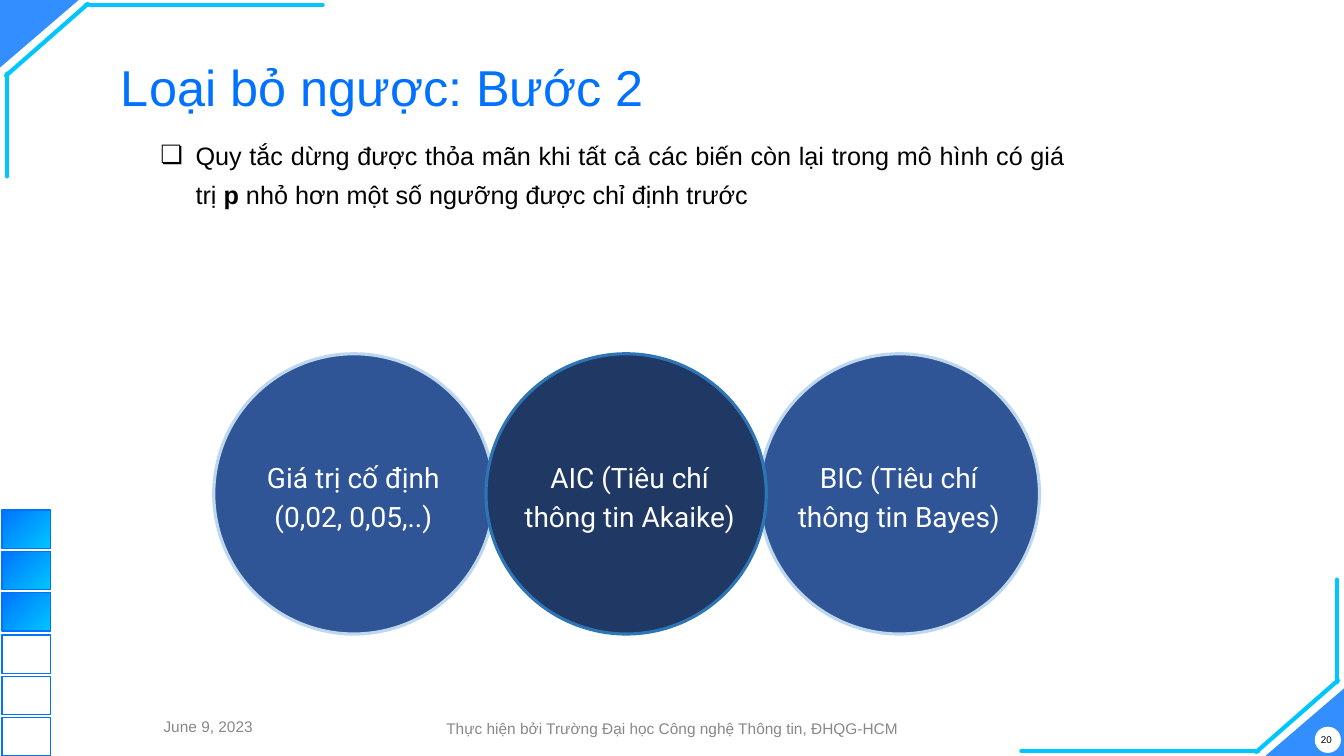
from dataclasses import dataclass
from typing import Any

from lxml.etree import SubElement
from pptx import Presentation
from pptx.dml.color import RGBColor
from pptx.enum.shapes import MSO_CONNECTOR, MSO_SHAPE
from pptx.enum.text import MSO_ANCHOR, MSO_AUTO_SIZE, PP_ALIGN
from pptx.oxml.ns import qn
from pptx.util import Emu, Pt

BLUE = RGBColor(0x00, 0x72, 0xFF)
CYAN = RGBColor(0x00, 0xC6, 0xFF)
WHITE = RGBColor(0xFF, 0xFF, 0xFF)
BLACK = RGBColor(0x00, 0x00, 0x00)
GREY = RGBColor(0x88, 0x88, 0x88)
ROYAL = RGBColor(0x2F, 0x55, 0x97)
PALE = RGBColor(0xBD, 0xD7, 0xEE)
NAVY = RGBColor(0x20, 0x38, 0x64)
STEEL = RGBColor(0x2E, 0x75, 0xB6)

EMU_PER_PX = 9144  # 100 px to the inch
SLIDE_WIDTH, SLIDE_HEIGHT = 1333, 750
CIRCLE_TOP, CIRCLE_SIZE = 351, 278
STEP_COUNT, STEPS_FILLED = 6, 3


@dataclass(frozen=True)
class Box:
    left: int
    top: int
    width: int
    height: int

    def emu(self) -> tuple[Emu, ...]:
        return tuple(px(n) for n in (self.left, self.top, self.width, self.height))


@dataclass(frozen=True)
class Criterion:
    text: str
    left: int
    label_left: int
    fill: RGBColor
    line: RGBColor


@dataclass(frozen=True)
class FooterItem:
    text: str
    box: Box
    size: int
    color: RGBColor


CRITERIA = [
    Criterion("BIC (Tiêu chí thông tin Bayes)", 753, 772, ROYAL, PALE),
    Criterion("Giá trị cố định (0,02, 0,05,..)", 212, 231, ROYAL, PALE),
    Criterion("AIC (Tiêu chí thông tin Akaike)", 482, 505, NAVY, STEEL),
]
FOOTER = [
    FooterItem("Thực hiện bởi Trường Đại học Công nghệ Thông tin, ĐHQG-HCM",
               Box(399, 708, 536, 29), 11, GREY),
    FooterItem("20", Box(1280, 718, 71, 32), 7, BLACK),
    FooterItem("June 9, 2023", Box(92, 706, 229, 29), 11, GREY),
]
CORNER_TRIANGLES = [(Box(0, 0, 78, 67), 180), (Box(1255, 683, 78, 67), 0)]
CORNER_LINES = [
    (320, 5, 85, 5), (87, 4, 6, 75), (7, 175, 7, 73),
    (1013, 745, 1248, 745), (1246, 746, 1327, 675), (1326, 575, 1326, 677),
]


def px(count: int) -> Emu:
    return Emu(count * EMU_PER_PX)


def write(frame: Any, text: str, *, size: int, color: RGBColor, font: str = "Arial",
          align: PP_ALIGN = PP_ALIGN.LEFT, anchor: MSO_ANCHOR = MSO_ANCHOR.TOP,
          spacing: float = 1.0, inset: int = 10) -> Any:
    """Fill the frame with one paragraph; parts between asterisks are bold."""
    frame.word_wrap = True
    frame.auto_size = MSO_AUTO_SIZE.NONE
    frame.vertical_anchor = anchor
    frame.margin_left = frame.margin_right = px(10)
    frame.margin_top = frame.margin_bottom = px(inset)
    para = frame.paragraphs[0]
    para.alignment = align
    para.line_spacing = spacing
    para.space_before = Pt(0)
    for index, part in enumerate(text.split("*")):
        span = para.add_run()
        span.text = part
        span.font.name = font
        span.font.size = Pt(size)
        span.font.bold = index % 2 == 1
        span.font.color.rgb = color
    return para


def add_bullet(para: Any, char: str, color: RGBColor) -> None:
    properties = para._p.get_or_add_pPr()
    properties.set("marL", str(px(50)))
    properties.set("indent", str(px(-35)))
    bullet_color = SubElement(properties, qn("a:buClr"))
    SubElement(bullet_color, qn("a:srgbClr"), val=str(color))
    SubElement(properties, qn("a:buFont"), typeface="Arial")
    SubElement(properties, qn("a:buChar"), char=char)


def add_figure(shapes: Any, kind: MSO_SHAPE, box: Box, *, fill: RGBColor | None = None,
               line: RGBColor | None = None, line_width: float = 1) -> Any:
    figure = shapes.add_shape(kind, *box.emu())
    figure.shadow.inherit = False
    if fill is None:
        figure.fill.background()
    else:
        figure.fill.solid()
        figure.fill.fore_color.rgb = fill
    if line is None:
        figure.line.fill.background()
    else:
        figure.line.color.rgb = line
        figure.line.width = Pt(line_width)
    return figure


def add_corners(page: Any) -> None:
    for box, rotation in CORNER_TRIANGLES:
        triangle = add_figure(page.shapes, MSO_SHAPE.ISOSCELES_TRIANGLE, box, fill=BLUE)
        triangle.adjustments[0] = 1
        triangle.rotation = rotation
        color = triangle._element.spPr.find(qn("a:solidFill"))[0]
        SubElement(color, qn("a:alpha"), val="80000")
    for ends in CORNER_LINES:
        edge = page.shapes.add_connector(MSO_CONNECTOR.STRAIGHT, *map(px, ends))
        edge.line.color.rgb = CYAN
        edge.line.width = Pt(3)
        edge.line._get_or_add_ln().set("cap", "rnd")
        SubElement(edge._element.spPr, qn("a:effectLst"))
    add_figure(page.shapes, MSO_SHAPE.OVAL, Box(1304, 721, 26, 26), fill=WHITE)


def add_progress(page: Any) -> None:
    for index in range(STEP_COUNT):
        top = 506 + round(index * 41.2)
        step = add_figure(page.shapes, MSO_SHAPE.RECTANGLE, Box(2, top, 48, 38), line=BLUE)
        if index < STEPS_FILLED:
            step.fill.gradient()
            step.fill.gradient_angle = 315
            for stop, color in zip(step.fill.gradient_stops, (BLUE, CYAN)):
                stop.color.rgb = color


def add_criterion(page: Any, criterion: Criterion) -> None:
    group = page.shapes.add_group_shape()
    add_figure(group.shapes, MSO_SHAPE.OVAL,
               Box(criterion.left, CIRCLE_TOP, CIRCLE_SIZE, CIRCLE_SIZE),
               fill=criterion.fill, line=criterion.line, line_width=2.25)
    label = group.shapes.add_textbox(*Box(criterion.label_left, 446, 239, 89).emu())
    write(label.text_frame, criterion.text, size=20, color=WHITE, font="Roboto",
          align=PP_ALIGN.CENTER, anchor=MSO_ANCHOR.MIDDLE, spacing=1.15)


def place(shape: Any, box: Box) -> None:
    shape.left, shape.top, shape.width, shape.height = box.emu()


def main() -> None:
    deck = Presentation()
    deck.slide_width, deck.slide_height = px(SLIDE_WIDTH), px(SLIDE_HEIGHT)
    page = deck.slides.add_slide(deck.slide_layouts[1])
    add_corners(page)
    add_progress(page)
    for item in FOOTER:
        box = page.shapes.add_textbox(*item.box.emu())
        write(box.text_frame, item.text, size=item.size, color=item.color,
              align=PP_ALIGN.CENTER, anchor=MSO_ANCHOR.MIDDLE, inset=5)

    title, body = page.shapes.title, page.placeholders[1]
    place(title, Box(110, 52, 932, 63))
    write(title.text_frame, "Loại bỏ ngược: Bước 2", size=36, color=BLUE, spacing=0.9)
    place(body, Box(134, 120, 932, 125))
    rule = write(body.text_frame,
                 "Quy tắc dừng được thỏa mãn khi tất cả các biến còn lại trong mô hình "
                 "có giá trị *p* nhỏ hơn một số ngưỡng được chỉ định trước",
                 size=18, color=BLACK, align=PP_ALIGN.JUSTIFY, spacing=1.3)
    add_bullet(rule, "❏", BLACK)

    for criterion in CRITERIA:
        add_criterion(page, criterion)
    deck.save("out.pptx")


if __name__ == "__main__":
    main()
